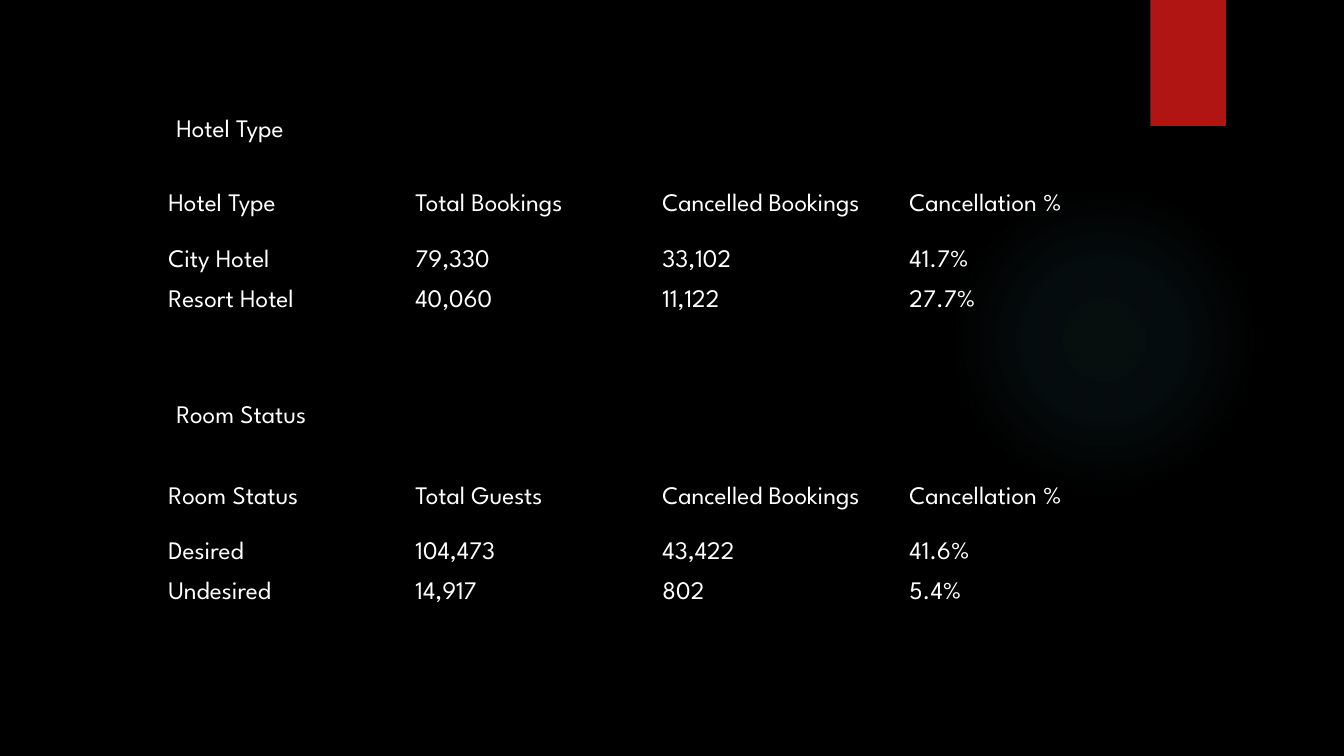
import dataclasses

import lxml.etree
import pptx
import pptx.dml.color
import pptx.enum.shapes
import pptx.enum.text
import pptx.oxml
import pptx.oxml.ns
import pptx.shapes.autoshape
import pptx.slide
import pptx.text.text
import pptx.util

Inches = pptx.util.Inches
FONT = "League Spartan"
WHITE, BLACK, RED, TEAL = "FFFFFF", "000000", "B01513", "50B9C1"
DRAWING_NS = pptx.oxml.ns.nsdecls("a")
PLAIN_TABLE_STYLE = "{2D5ABB26-0587-4C30-8999-92F81FD0307C}"

LEFT = 1.57
COLUMN_WIDTH = 2.45
ROW_HEIGHTS = (0.7, 0.4, 0.4)
HEADING_LEFT = 1.65
HEADING_HEIGHT = 0.4


@dataclasses.dataclass(frozen=True)
class Section:
    heading: str
    heading_top: float
    heading_width: float
    table_top: float
    rows: tuple[tuple[str, ...], ...]


SECTIONS = (
    Section("Hotel Type", 1.07, 1.49, 1.69, (
        ("Hotel Type", "Total Bookings", "Cancelled Bookings", "Cancellation %"),
        ("City Hotel", "79,330", "33,102", "41.7%"),
        ("Resort Hotel", "40,060", "11,122", "27.7%"),
    )),
    Section("Room Status", 3.9, 1.71, 4.59, (
        ("Room Status", "Total Guests", "Cancelled Bookings", "Cancellation %"),
        ("Desired", "104,473", "43,422", "41.6%"),
        ("Undesired", "14,917", "802", "5.4%"),
    )),
)


def set_color(fill: pptx.dml.fill.FillFormat, color: str) -> None:
    fill.solid()
    fill.fore_color.rgb = pptx.dml.color.RGBColor.from_string(color)


def write_text(frame: pptx.text.text.TextFrame, text: str) -> None:
    frame.text = text
    font = frame.paragraphs[0].runs[0].font
    font.name = FONT
    font.size = pptx.util.Pt(18)
    set_color(font.fill, WHITE)


def add_plain_shape(
    slide: pptx.slide.Slide,
    kind: pptx.enum.shapes.MSO_SHAPE,
    left: float, top: float, width: float, height: float,
) -> pptx.shapes.autoshape.Shape:
    """Add a preset shape without outline or shadow."""
    shape = slide.shapes.add_shape(
        kind, Inches(left), Inches(top), Inches(width), Inches(height))
    shape.shadow.inherit = False
    shape.line.fill.background()
    return shape


def add_glow(slide: pptx.slide.Slide) -> None:
    """Add the faint teal circle that fades out towards its edge."""
    glow = add_plain_shape(
        slide, pptx.enum.shapes.MSO_SHAPE.OVAL, 9.41, 1.83, 3.08, 3.08)
    stops = "".join(
        f'<a:gs pos="{position * 1000}"><a:srgbClr val="{TEAL}">'
        f'<a:alpha val="{opacity * 1000}"/></a:srgbClr></a:gs>'
        for position, opacity in ((0, 7), (36, 6), (69, 0)))
    gradient = pptx.oxml.parse_xml(
        f'<a:gradFill {DRAWING_NS}><a:gsLst>{stops}</a:gsLst>'
        '<a:path path="circle"><a:fillToRect l="50000" t="50000" '
        'r="50000" b="50000"/></a:path></a:gradFill>')
    properties = glow._element.spPr
    properties.find(pptx.oxml.ns.qn("a:prstGeom")).addnext(gradient)


def add_ribbon(slide: pptx.slide.Slide) -> None:
    ribbon = add_plain_shape(
        slide, pptx.enum.shapes.MSO_SHAPE.RECTANGLE, 11.41, 0, 0.75, 1.25)
    set_color(ribbon.fill, RED)
    effects = ribbon._element.spPr.find(pptx.oxml.ns.qn("a:effectLst"))
    effects.append(pptx.oxml.parse_xml(
        f'<a:outerShdw {DRAWING_NS} blurRad="{pptx.util.Pt(3)}" '
        f'dist="{pptx.util.Pt(2)}" dir="5400000" rotWithShape="0">'
        f'<a:srgbClr val="{BLACK}"><a:alpha val="45000"/></a:srgbClr>'
        '</a:outerShdw>'))


def add_heading(slide: pptx.slide.Slide, section: Section) -> None:
    heading = slide.shapes.add_textbox(
        Inches(HEADING_LEFT), Inches(section.heading_top),
        Inches(section.heading_width), Inches(HEADING_HEIGHT)).text_frame
    write_text(heading, section.heading)
    heading.word_wrap = False
    heading.auto_size = pptx.enum.text.MSO_AUTO_SIZE.SHAPE_TO_FIT_TEXT


def add_cancellations(slide: pptx.slide.Slide, section: Section) -> None:
    """Add the section's table, without grid or banding."""
    column_count = len(section.rows[0])
    table = slide.shapes.add_table(
        len(section.rows), column_count, Inches(LEFT), Inches(section.table_top),
        Inches(COLUMN_WIDTH * column_count), Inches(sum(ROW_HEIGHTS))).table
    table.first_row = table.horz_banding = False
    style = table._tbl.tblPr.find(pptx.oxml.ns.qn("a:tableStyleId"))
    style.text = PLAIN_TABLE_STYLE
    for column in table.columns:
        column.width = Inches(COLUMN_WIDTH)
    for row, height, values in zip(table.rows, ROW_HEIGHTS, section.rows):
        row.height = Inches(height)
        for cell, value in zip(row.cells, values):
            cell.fill.background()
            cell.vertical_anchor = pptx.enum.text.MSO_ANCHOR.MIDDLE
            write_text(cell.text_frame, value)


def main() -> None:
    presentation = pptx.Presentation()
    presentation.slide_width = Inches(13.33)
    presentation.slide_height = Inches(7.5)
    blank_layout = presentation.slide_layouts.get_by_name("Blank")
    slide = presentation.slides.add_slide(blank_layout)
    set_color(slide.background.fill, BLACK)
    add_glow(slide)
    add_ribbon(slide)
    for section in SECTIONS:
        add_cancellations(slide, section)
        add_heading(slide, section)
    presentation.save("out.pptx")


if __name__ == "__main__":
    main()
